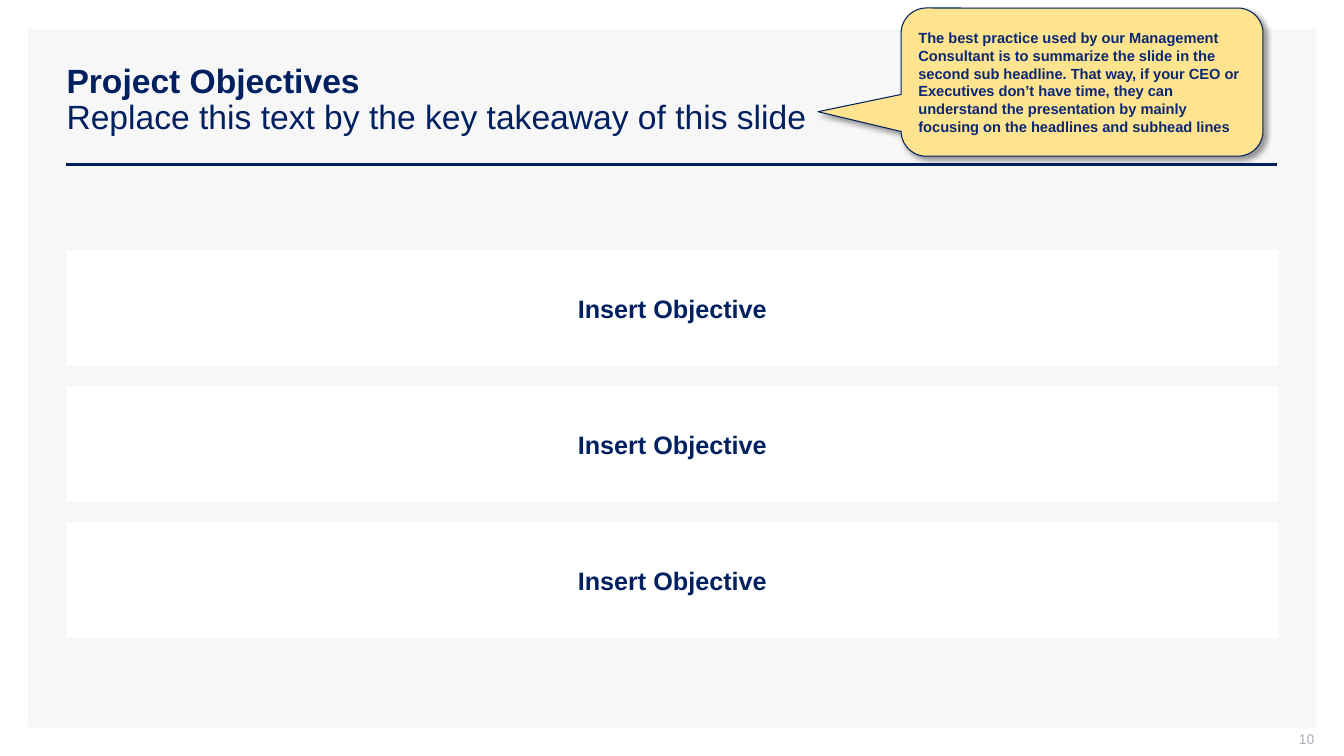
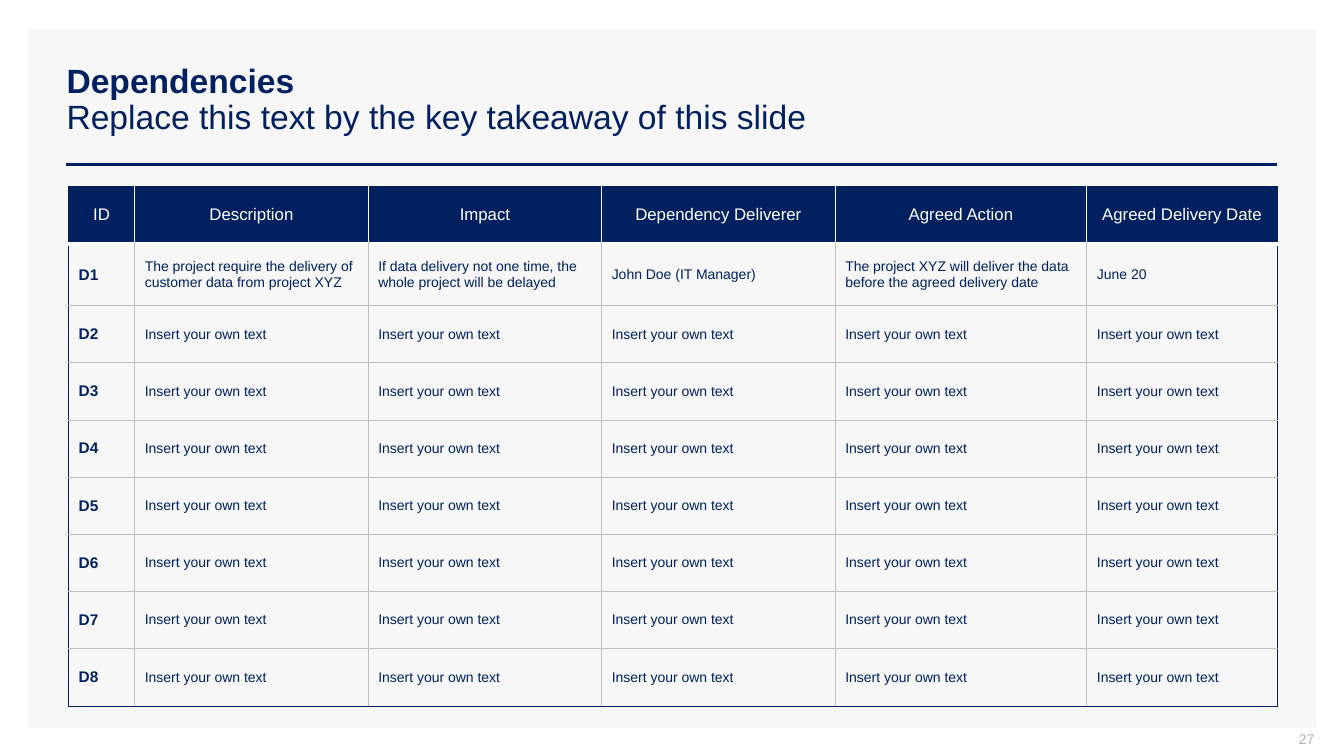
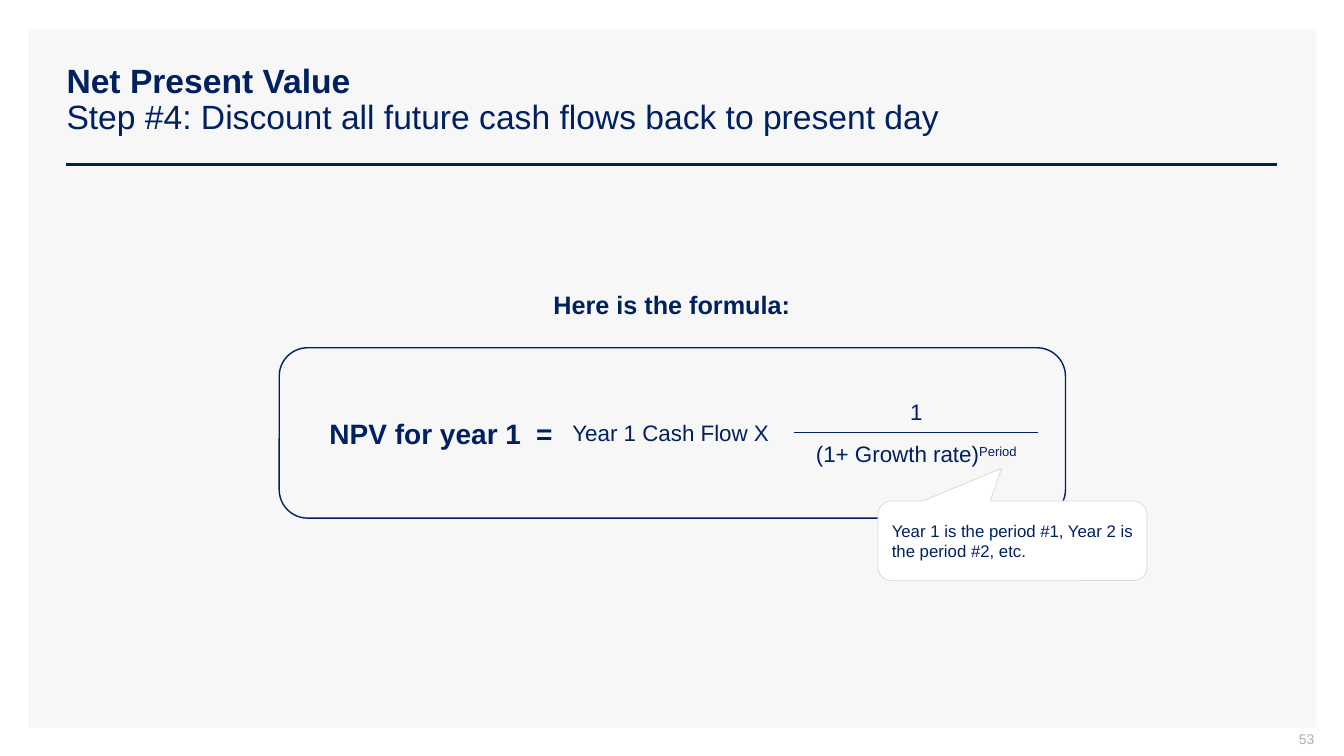
"""Three project slides: objectives, dependencies and net present value."""
from lxml import etree
from pptx import Presentation
from pptx.dml.color import RGBColor
from pptx.enum.shapes import MSO_CONNECTOR, MSO_SHAPE
from pptx.enum.text import MSO_ANCHOR, MSO_AUTO_SIZE, PP_ALIGN
from pptx.oxml.ns import qn
from pptx.util import Inches, Pt

NAVY = RGBColor(0x00, 0x20, 0x60)
INK = RGBColor(0x0C, 0x28, 0x70)
WHITE = RGBColor(0xFF, 0xFF, 0xFF)
PANEL = RGBColor(0xF7, 0xF7, 0xF7)
YELLOW = RGBColor(0xFF, 0xE4, 0x8F)
GREY = RGBColor(0xBF, 0xBF, 0xBF)
PALE = RGBColor(0xD8, 0xD8, 0xD8)
PAGE = RGBColor(0xAD, 0xAF, 0xBB)
BLACK = RGBColor(0x00, 0x00, 0x00)

LEFT, CENTER, RIGHT = PP_ALIGN.LEFT, PP_ALIGN.CENTER, PP_ALIGN.RIGHT
TOP, MIDDLE = MSO_ANCHOR.TOP, MSO_ANCHOR.MIDDLE
RECT, ROUND = MSO_SHAPE.RECTANGLE, MSO_SHAPE.ROUNDED_RECTANGLE
CALLOUT = MSO_SHAPE.ROUNDED_RECTANGULAR_CALLOUT
STRAIGHT = MSO_CONNECTOR.STRAIGHT
NO_FIT = MSO_AUTO_SIZE.NONE

FONT = "Arial"
COLS, ROWS = 40, 30
TITLE_ONLY = 5


def add_color(parent, color):
    """Append a colour node to an XML element."""
    return etree.SubElement(parent, qn("a:srgbClr"), val=str(color))


def add_fill(parent, color):
    """Append a solid fill to an XML element."""
    add_color(etree.SubElement(parent, qn("a:solidFill")), color)


class Deck:
    """Holds the style and the current slide; lengths are grid columns and rows."""

    def __init__(self):
        self.prs = Presentation()
        self.prs.slide_width, self.prs.slide_height = Inches(13.33), Inches(7.5)
        self.col = self.prs.slide_width / COLS
        self.row = self.prs.slide_height / ROWS
        self.layout = self.prs.slide_layouts[TITLE_ONLY]
        self.s = None
        self.style_title()

    def grid(self, x, y, w, h):
        return [round(v * unit) for v, unit in
                zip((x, y, w, h), (self.col, self.row) * 2)]

    def style_title(self):
        level = self.prs.slide_master.element.xpath(".//p:titleStyle/a:lvl1pPr")[0]
        level.set("algn", "l")
        font = level.find(qn("a:defRPr"))
        font.clear()
        font.set("sz", "2400")
        add_fill(font, NAVY)
        etree.SubElement(font, qn("a:latin"), typeface=FONT)
        title = self.layout.placeholders[0]
        title.left, title.top, title.width, title.height = self.grid(1.68, 1.6, 36.33, 4.76)

    def share(self):
        marks = (self.shape(RECT, 0.84, 1.16, 38.34, 27.72, fill=PANEL),
                 self.line(1.98, 38.01, 6.52, 2))
        for i, sp in enumerate(marks):
            sp.element.xpath(".//p:cNvPr")[0].set("id", str(100 + i))
            self.layout.shapes.element.insert(2 + i, sp.element)

    def slide(self, title, takeaway, number):
        self.s = self.prs.slides.add_slide(self.layout)
        if len(self.prs.slides) == 1:
            self.share()
        tf = self.s.shapes.title.text_frame
        tf.auto_size, tf.vertical_anchor = NO_FIT, MIDDLE
        p = tf.paragraphs[0]
        p.line_spacing = 0.9
        self.run(p, title, 24, bold=True)
        p.add_line_break()
        self.run(p, takeaway, 24)
        tf = self.text(30.12, 29, 9, 0.84, str(number), 10, PAGE, align=RIGHT, anchor=MIDDLE)
        tf.margin_top = tf.margin_right = 0

    def run(self, p, text, size, color=NAVY, bold=False):
        r = p.add_run()
        r.text = text
        r.font.name, r.font.size, r.font.bold = FONT, Pt(size), bold
        r.font.color.rgb = color
        return r

    def label(self, tf, text, size, color=NAVY, bold=False, align=LEFT, anchor=MIDDLE):
        tf.word_wrap, tf.vertical_anchor = True, anchor
        p = tf.paragraphs[0]
        p.alignment = align
        self.run(p, text, size, color, bold)
        return tf

    def text(self, x, y, w, h, text, size, color=NAVY, bold=False, align=CENTER, anchor=TOP):
        sp = self.s.shapes.add_textbox(*self.grid(x, y, w, h))
        return self.label(sp.text_frame, text, size, color, bold, align, anchor)

    def shape(self, kind, x, y, w, h, fill=None, line=None, width=1, adj=()):
        sp = self.s.shapes.add_shape(kind, *self.grid(x, y, w, h))
        sp.shadow.inherit = False
        if fill is None:
            sp.fill.background()
        else:
            sp.fill.solid()
            sp.fill.fore_color.rgb = fill
        if line is None:
            sp.line.fill.background()
        else:
            sp.line.color.rgb, sp.line.width = line, Pt(width)
        for i, value in enumerate(adj):
            sp.adjustments[i] = value
        return sp

    def line(self, x1, x2, y, width):
        left, top, right, _ = self.grid(x1, y, x2, y)
        cx = self.s.shapes.add_connector(STRAIGHT, left, top, right, top)
        cx.line.color.rgb, cx.line.width = NAVY, Pt(width)
        etree.SubElement(cx.element.spPr, qn("a:effectLst"))
        return cx

    def drop_shadow(self, sp):
        effects = sp.element.spPr.find(qn("a:effectLst"))
        shadow = etree.SubElement(effects, qn("a:outerShdw"), blurRad=str(Pt(4)),
                                  dist=str(Pt(3)), dir=str(45 * 60000),
                                  algn="tl", rotWithShape="0")
        etree.SubElement(add_color(shadow, BLACK), qn("a:alpha"), val="40000")

    def borders(self, cell, sides):
        tc_pr = cell._tc.get_or_add_tcPr()
        for side, (color, width) in zip("LRTB", sides):
            ln = etree.SubElement(tc_pr, qn("a:ln" + side), w=str(Pt(width)))
            add_fill(ln, color)

    def table(self, x, y, widths, heights, data):
        last_row, last_col = len(heights) - 1, len(widths) - 1
        frame = self.s.shapes.add_table(len(heights), len(widths),
                                        *self.grid(x, y, sum(widths), sum(heights)))
        tbl = frame.table
        tbl.first_row = tbl.horz_banding = False
        for column, w in zip(tbl.columns, widths):
            column.width = round(w * self.col)
        for row, h in zip(tbl.rows, heights):
            row.height = round(h * self.row)
        for i, texts in enumerate(data):
            head = i == 0
            inner = (WHITE if head else GREY, 0.75)
            edge = (NAVY, 0.75)
            top = edge if head else (WHITE, 1) if i == 1 else inner
            bottom = (WHITE, 3) if head else edge if i == last_row else inner
            for j, text in enumerate(texts):
                cell = tbl.cell(i, j)
                self.borders(cell, (edge if j == 0 else inner,
                                    edge if j == last_col else inner, top, bottom))
                cell.vertical_anchor = MIDDLE
                p = cell.text_frame.paragraphs[0]
                if head:
                    cell.fill.solid()
                    cell.fill.fore_color.rgb = NAVY
                    p.alignment = CENTER
                    self.run(p, text, 12, WHITE)
                else:
                    cell.fill.background()
                    self.run(p, text, 10 if j else 11, bold=j == 0)


def objectives(d):
    """Build the objectives slide."""
    d.slide("Project Objectives", "Replace this text by the key takeaway of this slide", 10)
    tip = d.shape(CALLOUT, 26.82, 0.32, 10.77, 5.88, YELLOW, NAVY, 0.75, (-0.73, 0.2, 0.17))
    d.drop_shadow(tip)
    d.label(tip.text_frame,
            "The best practice used by our Management Consultant is to summarize the slide "
            "in the second sub headline. That way, if your CEO or Executives don’t have time, "
            "they can understand the presentation by mainly focusing on the headlines and "
            "subhead lines", 10.5, INK, True)
    for i in range(3):
        bar = d.shape(RECT, 1.98, 9.92 + 5.4 * i, 36.06, 4.6, WHITE)
        d.label(bar.text_frame, "Insert Objective", 18, bold=True, align=CENTER)


def dependencies(d):
    """Build the dependencies slide."""
    d.slide("Dependencies", "Replace this text by the key takeaway of this slide", 27)
    data = [
        ("ID", "Description", "Impact", "Dependency Deliverer", "Agreed Action",
         "Agreed Delivery Date"),
        ("D1", "The project require the delivery of customer data from project XYZ",
         "If data delivery not one time, the whole project will be delayed",
         "John Doe (IT Manager)",
         "The project XYZ will deliver the data before the agreed delivery date", "June 20"),
    ]
    data += [[f"D{n}"] + ["Insert your own text"] * 5 for n in range(2, 9)]
    d.table(2.04, 7.4, [1.97, 6.95, 6.95, 6.95, 7.49, 5.67], [2.27, 2.46] + [2.27] * 7, data)


def net_present_value(d):
    """Build the formula slide."""
    d.slide("Net Present Value", "Step #4: Discount all future cash flows back to present day", 53)
    tf = d.text(8.37, 11.48, 23.25, 1.2, "Here is the formula:", 18, bold=True)
    tf.margin_left = tf.margin_top = tf.margin_right = tf.margin_bottom = 0
    d.shape(ROUND, 8.31, 13.8, 23.4, 6.76, line=NAVY)

    tf = d.text(9.51, 16.32, 8.1, 1.76, "NPV for year 1\t=", 20, bold=True, align=LEFT)
    tabs = etree.SubElement(tf.paragraphs[0]._p.get_or_add_pPr(), qn("a:tabLst"))
    etree.SubElement(tabs, qn("a:tab"), pos=str(Inches(2.05)), algn="l")

    d.text(16.74, 16.44, 7.26, 1.48, "Year 1 Cash Flow X", 16, align=LEFT)
    d.text(23.88, 15.6, 6.78, 1.48, "1", 16)
    d.line(23.64, 30.9, 17.16, 0.5)
    tf = d.text(23.64, 17.28, 7.26, 1.48, "(1+ Growth rate)", 16)
    r = d.run(tf.paragraphs[0], "Period", 16)
    r._r.get_or_add_rPr().set("baseline", "30000")

    note = d.shape(CALLOUT, 26.13, 19.88, 8.01, 3.16, WHITE, PALE, 0.5, (-0.04, -0.91, 0.17))
    d.label(note.text_frame, "Year 1 is the period #1, Year 2 is the period #2, etc.", 12)


def main():
    """Build and save the deck."""
    d = Deck()
    objectives(d)
    dependencies(d)
    net_present_value(d)
    d.prs.save("out.pptx")


if __name__ == "__main__":
    main()
